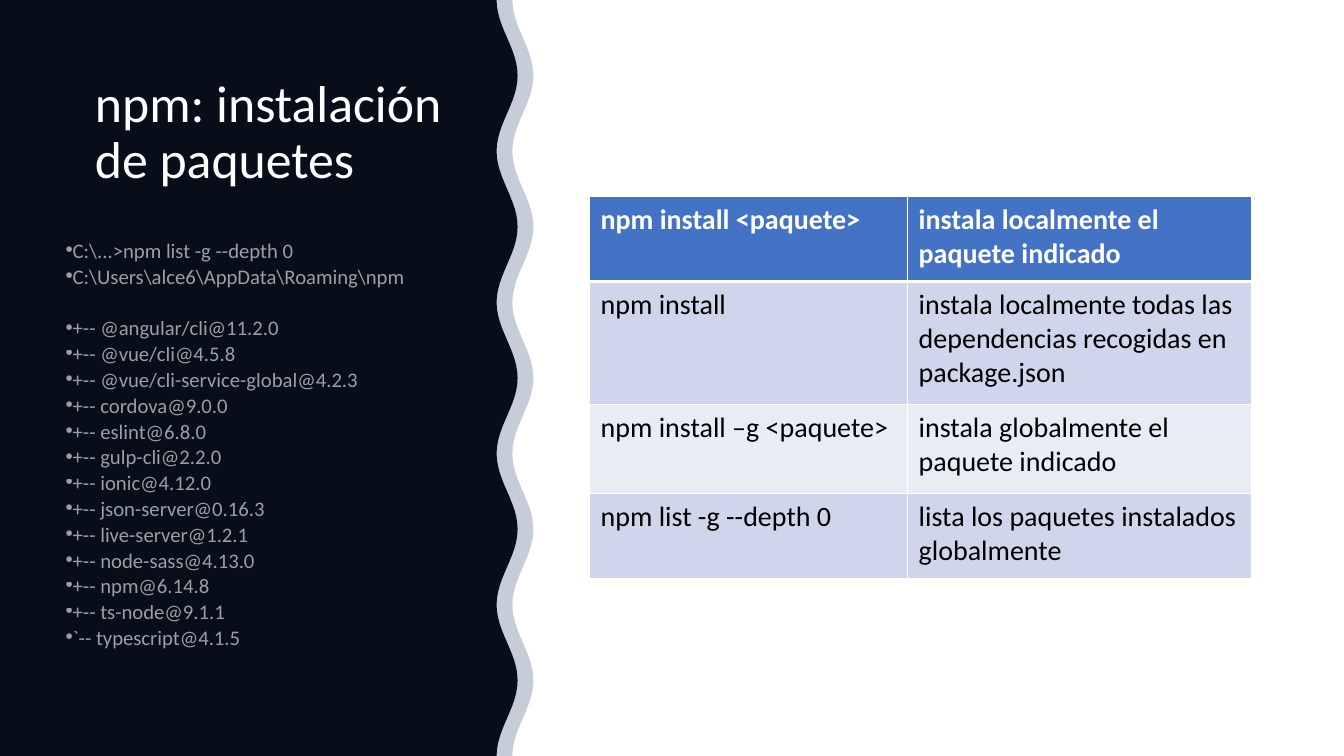
import math
from pptx import Presentation
from pptx import util as u
from pptx.dml.color import RGBColor
from pptx.enum import text
from pptx.oxml import ns
from lxml import etree

PX = 9525
FONT = "Calibri"
WHITE = RGBColor(0xFF, 0xFF, 0xFF)
BLACK = RGBColor(0, 0, 0)
NAVY = RGBColor(0x20, 0x38, 0x64)
HEADER = RGBColor(0x44, 0x72, 0xC4)
BAND_DARK = RGBColor(0xCF, 0xD5, 0xEA)
BAND_LIGHT = RGBColor(0xE9, 0xEB, 0xF5)


def set_opacity(element, percent):
    for color in element.iter(ns.qn("a:srgbClr")):
        etree.SubElement(color, ns.qn("a:alpha"), val=str(percent * 1000))


def add_text_box(left, top, width, height):
    box = page.shapes.add_textbox(left * PX, top * PX, width * PX, height * PX)
    box.text_frame.word_wrap = True
    box.text_frame.vertical_anchor = text.MSO_ANCHOR.TOP
    return box


deck = Presentation()
deck.slide_width, deck.slide_height = 1280 * PX, 720 * PX
page = deck.slides.add_slide(deck.slide_layouts[6])

WAVE_PERIOD, WAVE_DEPTH = 144, 10
for wave_center, color, opacity in [(483, BLACK, 100), (498, NAVY, 25)]:
    edge = []
    for y in range(0, 721, 6):
        x = wave_center - WAVE_DEPTH * math.cos(2 * math.pi * y / WAVE_PERIOD)
        edge.append((x * PX, y * PX))
    builder = page.shapes.build_freeform(0, 0)
    builder.add_line_segments(edge + [(0, 720 * PX)], close=True)
    panel = builder.convert_to_shape()
    panel.shadow.inherit = False
    panel.fill.solid()
    panel.fill.fore_color.rgb = color
    panel.line.fill.background()
    if opacity < 100:
        set_opacity(panel._element, opacity)

title = add_text_box(81, 69, 355, 156)
para = title.text_frame.paragraphs[0]
para.text = "npm: instalación de paquetes"
para.line_spacing = 0.9
para.font.size = u.Pt(37)
para.font.name = FONT
para.font.color.rgb = WHITE

console_lines = [
    r"C:\...>npm list -g --depth 0",
    r"C:\Users\alce6\AppData\Roaming\npm",
    "+-- @angular/cli@11.2.0",
    "+-- @vue/cli@4.5.8",
    "+-- @vue/cli-service-global@4.2.3",
    "+-- cordova@9.0.0",
    "+-- eslint@6.8.0",
    "+-- gulp-cli@2.2.0",
    "+-- ionic@4.12.0",
    "+-- json-server@0.16.3",
    "+-- live-server@1.2.1",
    "+-- node-sass@4.13.0",
    "+-- npm@6.14.8",
    "+-- ts-node@9.1.1",
    "`-- typescript@4.1.5",
]
console = add_text_box(53, 228, 383, 422)
console.text_frame.text = "\n".join(console_lines)
for index, para in enumerate(console.text_frame.paragraphs):
    para.line_spacing = 0.7
    para.space_after = u.Pt(24.6 if index == 1 else 6)
    properties = para._p.get_or_add_pPr()
    properties.set("marL", "0")
    properties.set("indent", str(-24 * PX))
    etree.SubElement(properties, ns.qn("a:buFont"), typeface="Arial")
    etree.SubElement(properties, ns.qn("a:buChar"), char="•")
    for span in para.runs:
        span.font.size = u.Pt(14.8)
        span.font.name = FONT
        span.font.color.rgb = WHITE
        set_opacity(span._r, 60)

commands = [
    ("npm install <paquete>", "instala localmente el paquete indicado"),
    ("npm install", "instala localmente todas las dependencias recogidas en package.json"),
    ("npm install –g <paquete>", "instala globalmente el paquete indicado"),
    ("npm list -g --depth 0", "lista los paquetes instalados globalmente"),
]
column_widths = [303, 328]
row_heights = [81, 117, 85, 81]
row_fills = [HEADER, BAND_DARK, BAND_LIGHT, BAND_DARK]
table = page.shapes.add_table(
    len(commands), 2, 561 * PX, 187 * PX, sum(column_widths) * PX, sum(row_heights) * PX
).table
for column, width in zip(table.columns, column_widths):
    column.width = width * PX
for row_index, command in enumerate(commands):
    table.rows[row_index].height = row_heights[row_index] * PX
    is_header = row_index == 0
    for column_index, wording in enumerate(command):
        cell = table.cell(row_index, column_index)
        cell.text = wording
        cell.margin_left = cell.margin_right = 11 * PX
        cell.margin_top = cell.margin_bottom = 6 * PX
        properties = cell._tc.get_or_add_tcPr()
        for side in ["lnL", "lnR", "lnT", "lnB"]:
            under_header = (side, row_index) in [("lnB", 0), ("lnT", 1)]
            border = etree.SubElement(
                properties, ns.qn("a:" + side), w=str(u.Pt(3 if under_header else 1))
            )
            border_fill = etree.SubElement(border, ns.qn("a:solidFill"))
            etree.SubElement(border_fill, ns.qn("a:srgbClr"), val=str(WHITE))
        cell.fill.solid()
        cell.fill.fore_color.rgb = row_fills[row_index]
        font = cell.text_frame.paragraphs[0].runs[0].font
        font.size = u.Pt(20)
        font.name = FONT
        font.bold = is_header
        font.color.rgb = WHITE if is_header else BLACK

deck.save("out.pptx")
